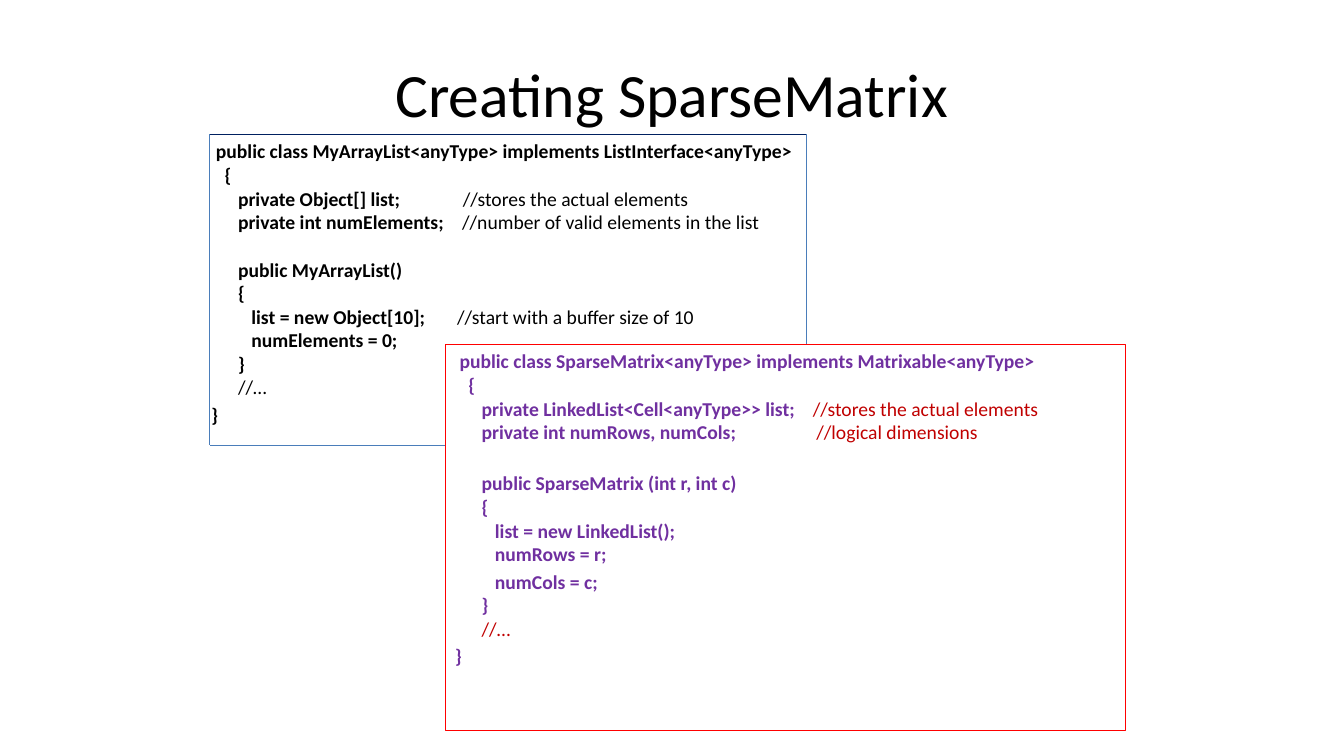
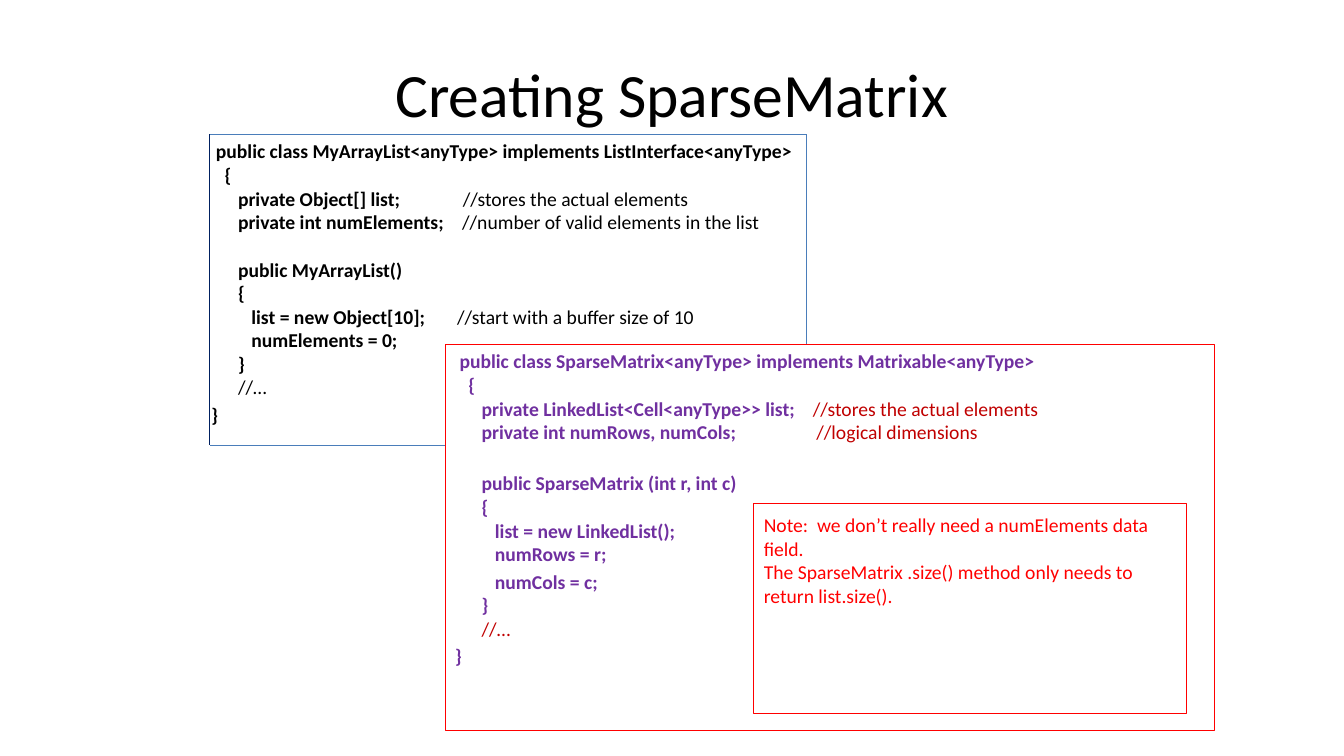
from lxml.etree import SubElement as Sub
from pptx import Presentation
from pptx.dml.color import RGBColor as RGB
from pptx.enum.shapes import MSO_CONNECTOR as LINK, MSO_SHAPE as SHAPE
from pptx.enum.text import MSO_ANCHOR as ANCHOR, PP_ALIGN as ALIGN
from pptx.oxml.ns import qn
from pptx.util import Pt

BLACK, WHITE = RGB(0, 0, 0), RGB(255, 255, 255)
BLUE, NAVY = RGB(0x4A, 0x7D, 0xBA), RGB(0x00, 0x20, 0x60)
PURPLE, BRICK, RED = RGB(0x70, 0x30, 0xA0), RGB(0xC0, 0, 0), RGB(255, 0, 0)
FONT = "Calibri"
SPACE = 3.16  # width of one blank in 14 pt code
ROW = 17.1    # height of one line of code
STEP = 2.8    # small gap above a paragraph

TITLE = "Creating SparseMatrix"
# gap above, indent in blanks, code, comment, place of the comment
ARRAY = [
    (0, 1, "public class MyArrayList<anyType> implements ListInterface<anyType>", "", 0),
    (0, 3, "{", "", 0),
    (0, 6, "private Object[] list;", "//stores the actual elements", 179.5),
    (0, 6, "private int numElements;", "//number of valid elements in the list", 179),
    (ROW, 6, "public MyArrayList()", "", 0),
    (0, 6, "{", "", 0),
    (0, 9, "list = new Object[10];", "//start with a buffer size of 10", 175.5),
    (0, 9, "numElements = 0;", "", 0),
    (0, 6, "}", "", 0),
    (0, 6, "", "//…", 0),
    (STEP, 0, "}", "", 0),
]
SPARSE = [
    (0, 1, "public class SparseMatrix<anyType> implements Matrixable<anyType>", "", 0),
    (0, 3, "{", "", 0),
    (0, 6, "private LinkedList<Cell<anyType>> list;", "//stores the actual elements", 255.5),
    (0, 6, "private int numRows, numCols;", "//logical dimensions", 258),
    (ROW + STEP, 6, "public SparseMatrix (int r, int c)", "", 0),
    (0, 6, "{", "", 0),
    (0, 9, "list = new LinkedList();", "", 0),
    (0, 9, "numRows = r;", "", 0),
    (STEP, 9, "numCols = c;", "", 0),
    (0, 6, "}", "", 0),
    (0, 6, "", "//…", 0),
    (STEP, 0, "}", "", 0),
]
NOTE = [
    "Note:  we don’t really need a numElements data field.",
    "The SparseMatrix .size() method only needs to return list.size().",
]
TOP, LEFT = (150, 96, 576, 96), (150, 96, 150, 318)
RIGHT, BASE = (576, 96, 576, 246), (150, 318, 318, 318)
# width of the front box, dark edge of the back box, note
PAGES = [(486, TOP, []), (549.5, LEFT, NOTE)]


def add_run(para, text, color, size=14, bold=False):
    run = para.add_run()
    run.text = text
    font = run.font
    font.name, font.size, font.bold = FONT, Pt(size), bold
    font.color.rgb = color


def add_box(slide, place, edge, inset=3.6):
    box = slide.shapes.add_shape(SHAPE.RECTANGLE, *map(Pt, place))
    box.shadow.inherit = False
    box.fill.background()
    box.line.color.rgb = edge
    box.line.width = Pt(0.75)
    frame = box.text_frame
    frame.word_wrap = True
    frame.vertical_anchor = ANCHOR.TOP
    frame.margin_left = frame.margin_right = Pt(7.2)
    frame.margin_top = frame.margin_bottom = Pt(inset)
    return frame


def add_paras(frame, count):
    """Return count left-aligned paragraphs, the first one included."""
    paras = [frame.paragraphs[0]]
    paras += [frame.add_paragraph() for _ in range(count - 1)]
    for para in paras:
        para.alignment = ALIGN.LEFT
    return paras


def set_tabs(para, stops):
    tabs = Sub(para._p.get_or_add_pPr(), qn("a:tabLst"))
    for stop in stops:
        Sub(tabs, qn("a:tab"), pos=str(int(Pt(stop))), algn="l")


def add_code(frame, lines, ink, hint):
    """Write code in bold ink and comments in hint, aligned by tab stops."""
    paras = add_paras(frame, len(lines))
    for para, (gap, depth, code, comment, place) in zip(paras, lines):
        para.space_before = Pt(gap)
        stops = [stop for stop in (depth * SPACE, place) if stop]
        if stops:
            set_tabs(para, stops)
        lead = "\t" if depth else ""
        if code:
            add_run(para, lead + code, ink, bold=True)
        if comment:
            add_run(para, "\t" + comment, hint)


def add_edge(slide, ends, color):
    edge = slide.shapes.add_connector(LINK.STRAIGHT, *map(Pt, ends))
    edge.line.color.rgb = color
    edge.line.width = Pt(0.75)
    Sub(edge._element.spPr, qn("a:effectLst"))


def add_title(slide):
    frame = slide.shapes.add_textbox(*map(Pt, (156, 21.5, 648, 90))).text_frame
    frame.word_wrap = True
    frame.vertical_anchor = ANCHOR.MIDDLE
    para = frame.paragraphs[0]
    para.alignment = ALIGN.CENTER
    add_run(para, TITLE, BLACK, 44)


def add_page(deck, width, dark, note):
    slide = deck.slides.add_slide(deck.slide_layouts[6])
    add_title(slide)
    add_code(add_box(slide, (144, 96, 432, 210), WHITE), ARRAY, BLACK, BLACK)
    add_code(add_box(slide, (318, 246, width, 276), RED), SPARSE, PURPLE, BRICK)
    for ends in (TOP, RIGHT, LEFT, BASE):
        add_edge(slide, ends, NAVY if ends == dark else BLUE)
    if note:
        frame = add_box(slide, (538.5, 359.5, 309, 150), RED, 7.2)
        for para, text in zip(add_paras(frame, len(note)), note):
            add_run(para, text, RED)


def main():
    deck = Presentation()
    deck.slide_width, deck.slide_height = Pt(960), Pt(540)
    for page in PAGES:
        add_page(deck, *page)
    deck.save("out.pptx")


if __name__ == "__main__":
    main()
